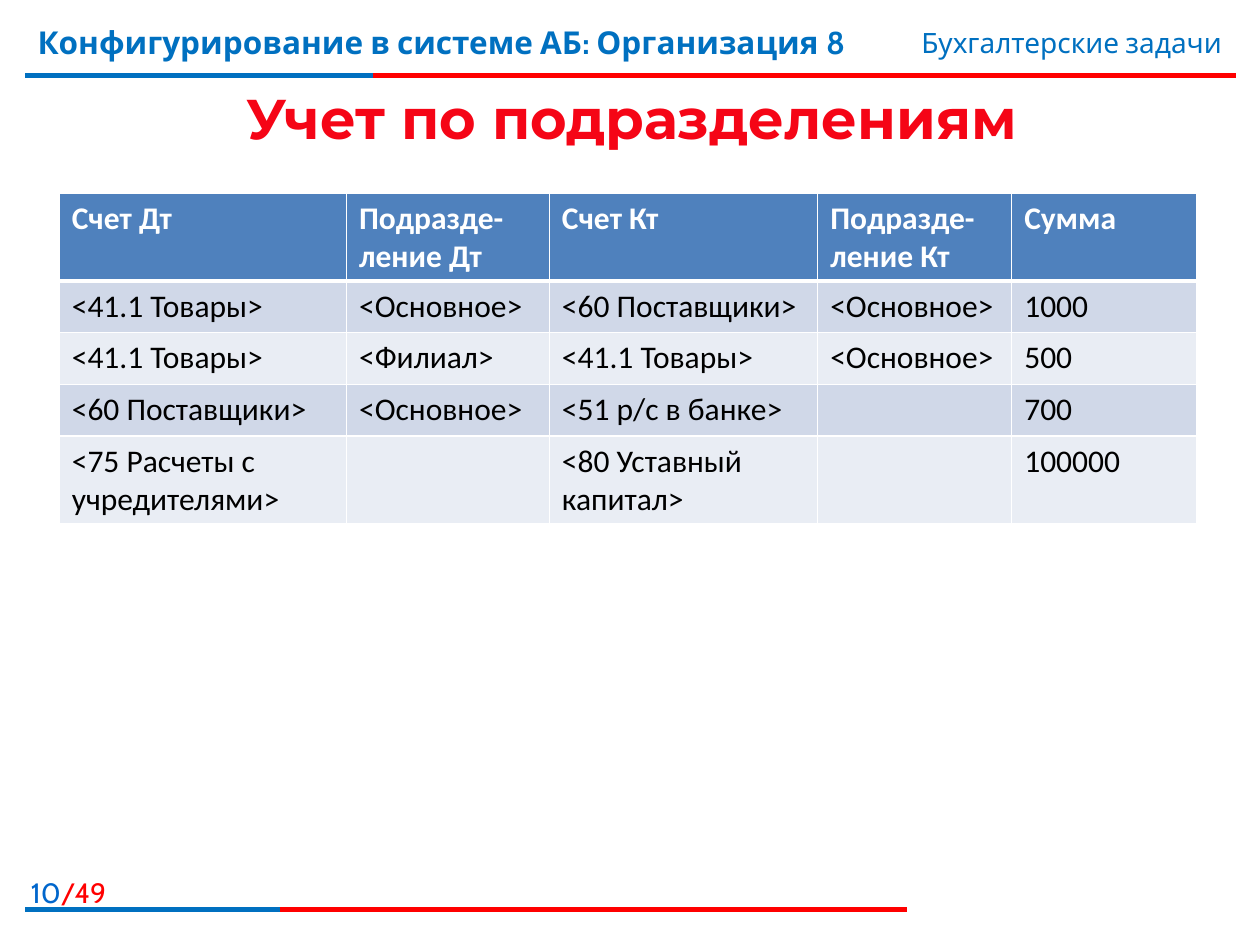
import pptx
import pptx.dml.color
import pptx.enum.shapes
import pptx.enum.text
import pptx.oxml.ns
import pptx.util
import lxml.etree

Inches = pptx.util.Inches
Pt = pptx.util.Pt
qn = pptx.oxml.ns.qn
ALIGN = pptx.enum.text.PP_ALIGN
ANCHOR = pptx.enum.text.MSO_ANCHOR

BLUE, RED, WHITE = "0070C0", "FF0000", "FFFFFF"
HEAD, BANDS = "4F81BD", ("D0D8E8", "E9EDF4")
COLS = (2.28, 1.61, 2.13, 1.54, 1.47)
ROWS = (0.7, 0.41, 0.41, 0.41, 0.7)
CELLS = (
    ("Счет Дт", "Подразде-ление Дт", "Счет Кт", "Подразде-ление Кт", "Сумма"),
    ("<41.1 Товары>", "<Основное>", "<60 Поставщики>", "<Основное>", "1000"),
    ("<41.1 Товары>", "<Филиал>", "<41.1 Товары>", "<Основное>", "500"),
    ("<60 Поставщики>", "<Основное>", "<51 р/с в банке>", "", "700"),
    ("<75 Расчеты с учредителями>", "", "<80 Уставный капитал>", "", "100000"),
)


def rgb(code):
    return pptx.dml.color.RGBColor.from_string(code)


def add_run(para, text, size, font, color, bold=False):
    run = para.add_run()
    run.text = text
    run.font.size, run.font.name, run.font.bold = Pt(size), font, bold
    run.font.color.rgb = rgb(color)
    return run


def add_box(slide, left, top, width, height, align=ALIGN.LEFT):
    """Add a wrapping text box and return its frame."""
    box = slide.shapes.add_textbox(*map(Inches, (left, top, width, height)))
    frame = box.text_frame
    frame.word_wrap = True
    frame.paragraphs[0].alignment = align
    return frame


def add_rule(slide, left, top, width, part):
    """Draw a red rule whose first part is blue."""
    for length, color in ((width, RED), (part, BLUE)):
        line = slide.shapes.add_connector(
            pptx.enum.shapes.MSO_CONNECTOR.STRAIGHT,
            Inches(left), Inches(top), Inches(left + length), Inches(top))
        line.line.color.rgb = rgb(color)
        line.line.width = Pt(3)
        props = line._element.find(qn("p:spPr"))
        lxml.etree.SubElement(props, qn("a:effectLst"))


def add_header(slide, left, top, width):
    add_rule(slide, left, top + 0.47, width, 2.76)
    course = add_box(slide, left, top, 7.4, 0.62)
    add_run(course.paragraphs[0], "Конфигурирование в системе АБ: Организация 8",
            18, "Cabin", BLUE, True)
    topic = add_box(slide, left + width - 3.87, top + 0.02, 3.86, 0.37, ALIGN.RIGHT)
    add_run(topic.paragraphs[0], "Бухгалтерские задачи", 16, "Cabin", BLUE)


def add_footer(slide, left, top, width):
    add_rule(slide, left, top + 0.32, width, 2.02)
    para = add_box(slide, left - 0.3, top, 1.04, 0.32, ALIGN.RIGHT).paragraphs[0]
    add_run(para, "10", 16, "Cabin", "0066CC")
    add_run(para, "/49", 16, "Cabin", RED)


def add_title(slide, left, top, width, height):
    frame = add_box(slide, left, top, width, height, ALIGN.CENTER)
    frame.vertical_anchor = ANCHOR.MIDDLE
    run = add_run(frame.paragraphs[0], "Учет по подразделениям",
                  32, "Montserrat", "F50516", True)
    fill = run.font.fill
    fill.gradient()
    fill.gradient_angle = 270
    for stop, place, color in zip(fill.gradient_stops, (0.55, 0.86), ("F50516", "C00000")):
        stop.position = place
        stop.color.rgb = rgb(color)
    run._r.rPr.insert(0, make_line("a:ln", 0.75))


def make_line(tag, width):
    line = lxml.etree.Element(qn(tag))
    line.set("w", str(int(Pt(width))))
    fill = lxml.etree.SubElement(line, qn("a:solidFill"))
    lxml.etree.SubElement(fill, qn("a:srgbClr")).set("val", WHITE)
    return line


def fill_cell(cell, text, row):
    head = row == 0
    cell.fill.solid()
    cell.fill.fore_color.rgb = rgb(HEAD if head else BANDS[(row - 1) % 2])
    para = cell.text_frame.paragraphs[0]
    para.font.size = Pt(18)
    if text:
        add_run(para, text, 18, "Calibri", WHITE if head else "000000", head)
    widths = {"L": 1, "R": 1, "T": 3 if row == 1 else 1, "B": 3 if head else 1}
    for place, (side, width) in enumerate(widths.items()):
        cell._tc.tcPr.insert(place, make_line("a:ln" + side, width))


def add_entries(slide, left, top):
    size = map(Inches, (left, top, sum(COLS), sum(ROWS)))
    table = slide.shapes.add_table(len(ROWS), len(COLS), *size).table
    for col, width in zip(table.columns, COLS):
        col.width = Inches(width)
    for row, height in zip(table.rows, ROWS):
        row.height = Inches(height)
    for i, texts in enumerate(CELLS):
        for j, text in enumerate(texts):
            fill_cell(table.cell(i, j), text, i)


def main():
    deck = pptx.Presentation()
    deck.slide_width, deck.slide_height = Inches(10), Inches(7.5)
    slide = deck.slides.add_slide(deck.slide_layouts[6])
    add_header(slide, 0.2, 0.13, 9.61)
    add_footer(slide, 0.2, 6.9, 7)
    add_title(slide, 0.21, 0.63, 9.61, 0.6)
    add_entries(slide, 0.47, 1.53)
    deck.save("out.pptx")


if __name__ == "__main__":
    main()
